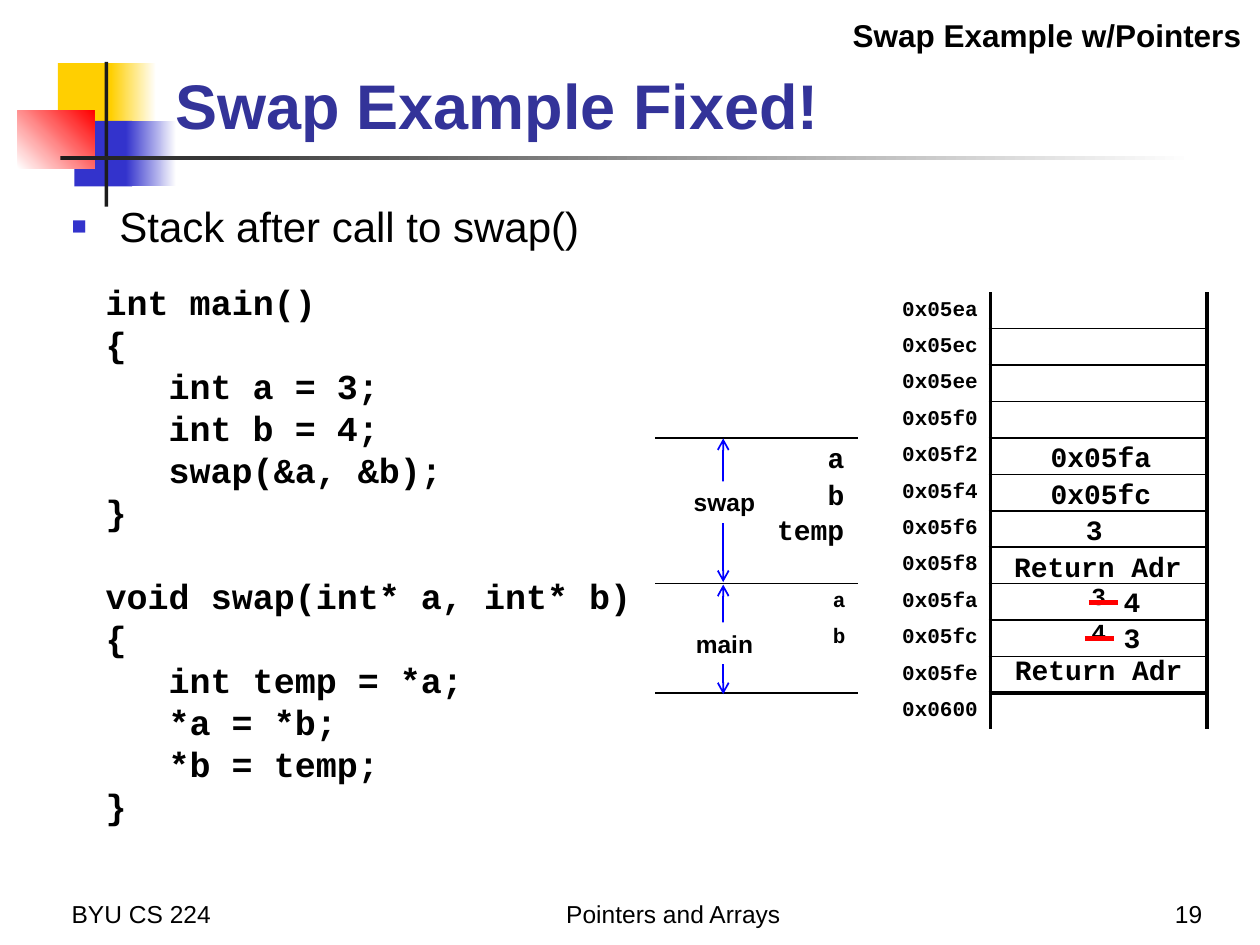
import pptx
import pptx.dml.color
import pptx.enum.shapes
import pptx.enum.text
import pptx.oxml
import pptx.oxml.ns
import pptx.util
from lxml import etree

Inches, Pt = pptx.util.Inches, pptx.util.Pt
Align, Anchor = pptx.enum.text.PP_ALIGN, pptx.enum.text.MSO_ANCHOR
AutoSize = pptx.enum.text.MSO_AUTO_SIZE
BLACK, WHITE, INK = "000000", "FFFFFF", "1C1C1C"
YELLOW, BLUE, RED = "FFCF01", "3333CC", "FF0000"
SANS, MONO = "Arial", "Courier New"
ROW = 3.47 / 12


def colour(value):
    """Turn a hex string into a colour."""
    return pptx.dml.color.RGBColor.from_string(value)


def xml_child(parent, tag, **attributes):
    """Append a DrawingML element."""
    child = etree.SubElement(parent, pptx.oxml.ns.qn(tag))
    for name, value in attributes.items():
        child.set(name, str(value))
    return child


def add_span(para, text, size, font=SANS, bold=False, ink=BLACK):
    """Add one formatted run to a paragraph."""
    span = para.add_run()
    span.text = text
    span.font.size, span.font.name, span.font.bold = Pt(size), font, bold
    span.font.color.rgb = colour(ink)


def add_text(page, box, text, size, font=SANS, bold=False, align=Align.LEFT,
             anchor=Anchor.TOP, wrap=True):
    """Add a one-line text box and return it."""
    shape = page.shapes.add_textbox(*map(Inches, box))
    frame = shape.text_frame
    frame.word_wrap, frame.vertical_anchor = wrap, anchor
    if not wrap:
        frame.auto_size = AutoSize.SHAPE_TO_FIT_TEXT
    para = frame.paragraphs[0]
    para.alignment = align
    add_span(para, text, size, font, bold)
    return shape


def add_block(page, box, start, end=None, angle=0):
    """Add a borderless rectangle, plain or with a gradient."""
    shape = page.shapes.add_shape(
        pptx.enum.shapes.MSO_SHAPE.RECTANGLE, *map(Inches, box))
    shape.shadow.inherit = False
    shape.line.fill.background()
    if end is None:
        shape.fill.solid()
        shape.fill.fore_color.rgb = colour(start)
        return
    shape.fill.gradient()
    shape.fill.gradient_angle = angle
    for stop, value in zip(shape.fill.gradient_stops, (start, end)):
        stop.color.rgb = colour(value)


def add_line(page, start, end, ink, width, arrows=False):
    """Add a straight line, with open arrowheads at both ends if asked."""
    line = page.shapes.add_connector(
        pptx.enum.shapes.MSO_CONNECTOR.STRAIGHT, *map(Inches, start + end))
    line.line.color.rgb, line.line.width = colour(ink), Pt(width)
    if arrows:
        for tag in ("a:headEnd", "a:tailEnd"):
            xml_child(line.line._get_or_add_ln(), tag, type="arrow")
    xml_child(line._element.spPr, "a:effectLst")


def draw_decoration(page, left, top):
    """Draw the coloured squares and the crossing rules beside the title."""
    blocks = [((0.32, 0.01, 0.48, 0.52), YELLOW),
              ((0.74, 0.01, 0.36, 0.52), YELLOW, WHITE),
              ((0.45, 0.47, 0.46, 0.52), BLUE),
              ((0.86, 0.47, 0.4, 0.52), BLUE, WHITE),
              ((0, 0.39, 0.61, 0.46), WHITE, RED, 45),
              ((0.69, 0, 0.03, 1.15), INK),
              ((0.34, 0.75, 9, 0.03), INK, WHITE)]
    for (x, y, width, height), *paint in blocks:
        add_block(page, (left + x, top + y, width, height), *paint)


def fill_title(page, box, text):
    """Place and format the title placeholder."""
    title = page.shapes.title
    title.left, title.top, title.width, title.height = map(Inches, box)
    frame = title.text_frame
    frame.vertical_anchor, frame.auto_size = Anchor.BOTTOM, AutoSize.NONE
    frame.paragraphs[0].alignment = Align.LEFT
    add_span(frame.paragraphs[0], text, 36, bold=True, ink="333399")


def draw_footer(page, top):
    """Write the course, topic and page number."""
    for left, width, text, align in (
            (0.47, 2.08, "BYU CS 224", Align.LEFT),
            (2.78, 5.13, "Pointers and Arrays", Align.CENTER),
            (7.56, 2.08, "19", Align.RIGHT)):
        add_text(page, (left, top, width, 0.5), text, 14, align=align,
                 anchor=Anchor.BOTTOM)


def draw_bullet(page, box, text):
    """Write the bulleted statement."""
    para = add_text(page, box, text, 24).text_frame.paragraphs[0]
    para.space_before = Pt(4.8)
    props = para._p.get_or_add_pPr()
    props.set("marL", str(Inches(0.38)))
    props.set("indent", str(-Inches(0.38)))
    xml_child(xml_child(props, "a:buClr"), "a:srgbClr", val=BLUE)
    xml_child(props, "a:buSzPct", val=60000)
    xml_child(props, "a:buFont", typeface=SANS)
    xml_child(props, "a:buChar", char="\u25a0")


def draw_code(page, box, functions):
    """Write functions, each a signature and its indented statements."""
    frame = page.shapes.add_textbox(*map(Inches, box)).text_frame
    frame.word_wrap, frame.vertical_anchor = True, Anchor.MIDDLE
    para = frame.paragraphs[0]
    for number, (signature, statements) in enumerate(functions):
        for text in (signature, "{", *statements, "}"):
            if number or text != signature:
                para = frame.add_paragraph()
            para.line_spacing = Pt(24)
            if number and text == signature:
                para.space_before = Pt(24)
            if text in statements:
                para._p.get_or_add_pPr().set("marL", str(Inches(0.5)))
            add_span(para, text, 20, MONO, True)


def format_cell(cell, text, size, align, anchor, borders):
    """Fill one stack cell and set all its borders (side to width)."""
    cell.margin_top = cell.margin_bottom = Inches(0.01)
    cell.margin_left = cell.margin_right = Inches(0.1)
    cell.vertical_anchor = anchor
    para = cell.text_frame.paragraphs[0]
    para.alignment = align
    if text:
        add_span(para, text, size, MONO, True)
    else:
        xml_child(para._p, "a:endParaRPr", sz=1200)
    props = cell._tc.get_or_add_tcPr()
    for side in "LRTB":
        width = borders.get(side, 0)
        line = xml_child(props, "a:ln" + side, w=Pt(width))
        if width:
            xml_child(xml_child(line, "a:solidFill"), "a:srgbClr", val=BLACK)
        else:
            xml_child(line, "a:noFill")
    cell.fill.background()


def draw_stack(page, left, top):
    """Draw the stack table: variable, address and memory content."""
    addresses = [f"0x{0x05ea + 2 * row:04x}" for row in range(12)]
    variables = {8: "a", 9: "b"}
    contents = {8: ("3", 14), 9: ("4", 14), 10: ("Return Adr", 16)}
    frame_ends = (3, 7, 10)
    table = page.shapes.add_table(
        12, 3, *map(Inches, (left, top, 4.38, 12 * ROW))).table
    table.first_row = table.horz_banding = False
    style = table._tbl.tblPr.find(pptx.oxml.ns.qn("a:tableStyleId"))
    style.text = "{2D5ABB26-0587-4C30-8999-92F81FD0307C}"
    for column, width in zip(table.columns, (1.61, 1.05, 1.72)):
        column.width = Inches(width)
    for row, address in enumerate(addresses):
        table.rows[row].height = Inches(ROW)
        format_cell(table.cell(row, 0), variables.get(row), 12, Align.RIGHT,
                    Anchor.MIDDLE, {"T": int(row - 1 in frame_ends),
                                    "B": int(row in frame_ends)})
        format_cell(table.cell(row, 1), address, 12, Align.RIGHT,
                    Anchor.MIDDLE, {"R": 2.25})
        rules = {"L": 2.25, "R": 2.25,
                 "T": (0 if row == 0 else 2.25 if row == 11 else 1),
                 "B": (0 if row == 11 else 2.25 if row == 10 else 1)}
        text, size = contents.get(row, (None, 12))
        format_cell(table.cell(row, 2), text, size, Align.CENTER,
                    Anchor.TOP, rules)


def draw_stack_notes(page, left, top):
    """Mark the call frames and write the values set by swap."""
    frames = [("main", 2.32, 3.19, 2.62), ("swap", 1.16, 2.3, 1.5)]
    for name, start, end, label_top in frames:
        add_line(page, (left + 0.54, top + start), (left + 0.54, top + end),
                 "0000FF", 1, arrows=True)
        label = add_text(page, (left + 0.2, top + label_top, 0.7, 0.33),
                         name, 14, bold=True, align=Align.CENTER,
                         anchor=Anchor.MIDDLE, wrap=False)
        label.fill.solid()
        label.fill.fore_color.rgb = colour(WHITE)
    notes = [("a", 1.27, 1.13, 0.34), ("b", 1.27, 1.42, 0.34),
             ("temp", 0.87, 1.7, 0.74), ("0x05fa", 3.04, 1.12, 1),
             ("0x05fc", 3.04, 1.41, 1), ("3", 3.32, 1.7, 0.34),
             ("Return Adr", 2.75, 1.99, 1.54),
             ("4", 3.62, 2.27, 0.34), ("3", 3.62, 2.56, 0.34)]
    for text, x, y, width in notes:
        add_text(page, (left + x, top + y, width, 0.37), text, 16, MONO, True,
                 wrap=False)
    for x, y in ((3.44, 2.46), (3.41, 2.75)):
        add_line(page, (left + x, top + y), (left + x + 0.23, top + y), RED, 3)


def build():
    """Build and save the deck."""
    deck = pptx.Presentation()
    deck.slide_width, deck.slide_height = Inches(10), Inches(7.5)
    page = deck.slides.add_slide(deck.slide_layouts[5])
    draw_decoration(page, 0.14, 0.49)
    fill_title(page, (1.29, 0.23, 8.52, 0.95), "Swap Example Fixed!")
    add_text(page, (5.93, 0.08, 4.02, 0.4), "Swap Example w/Pointers", 18,
             bold=True, align=Align.RIGHT)
    draw_bullet(page, (0.47, 1.54, 5.83, 0.6), "Stack after call to swap()")
    draw_code(page, (0.74, 2.18, 4.38, 4.43), [
        ("int main()", ("int a = 3;", "int b = 4;", "swap(&a, &b);")),
        ("void swap(int* a, int* b)",
         ("int temp = *a;", "*a = *b;", "*b = temp;"))])
    draw_stack(page, 5.2, 2.32)
    draw_stack_notes(page, 5.2, 2.32)
    draw_footer(page, 6.92)
    deck.save("out.pptx")


build()
